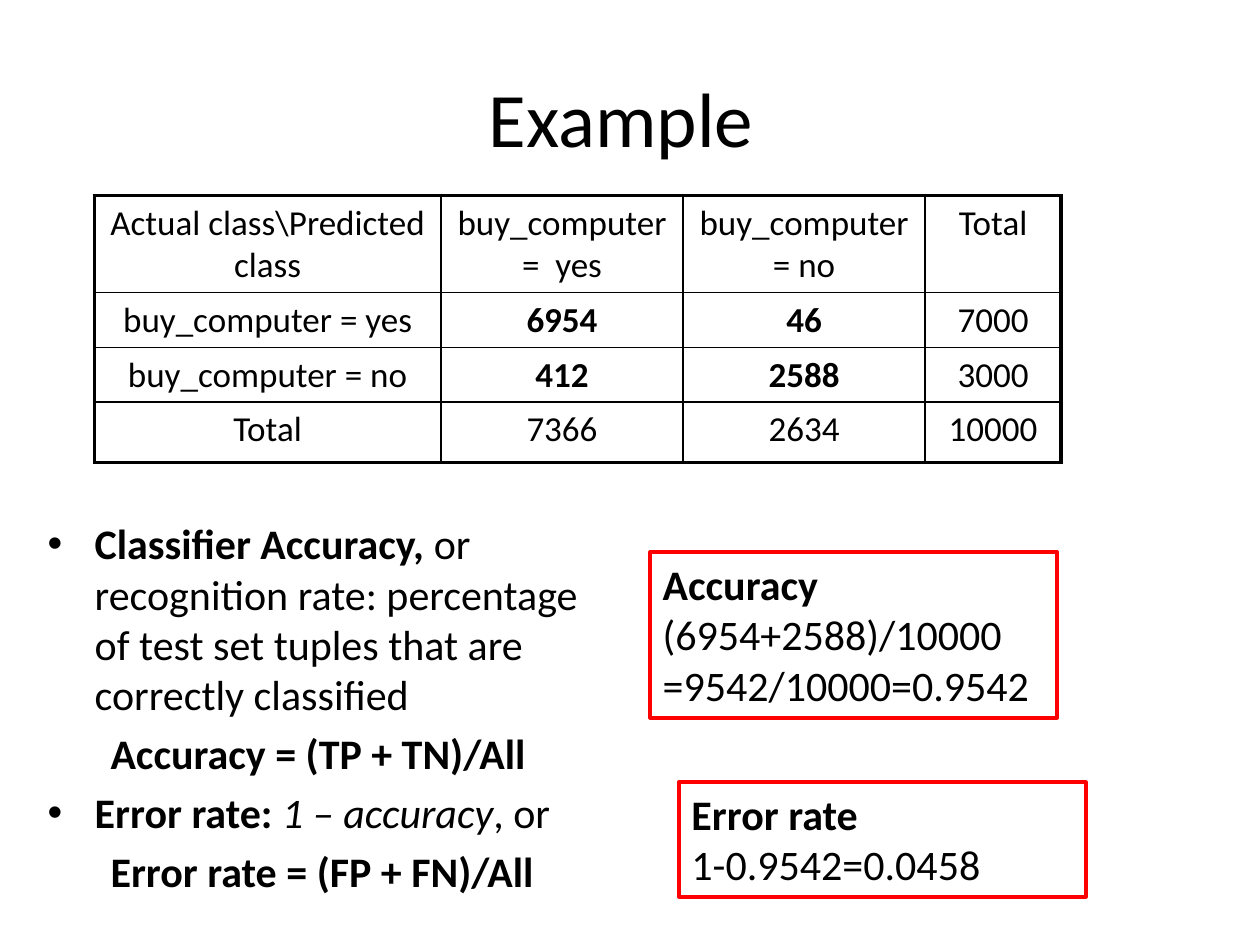
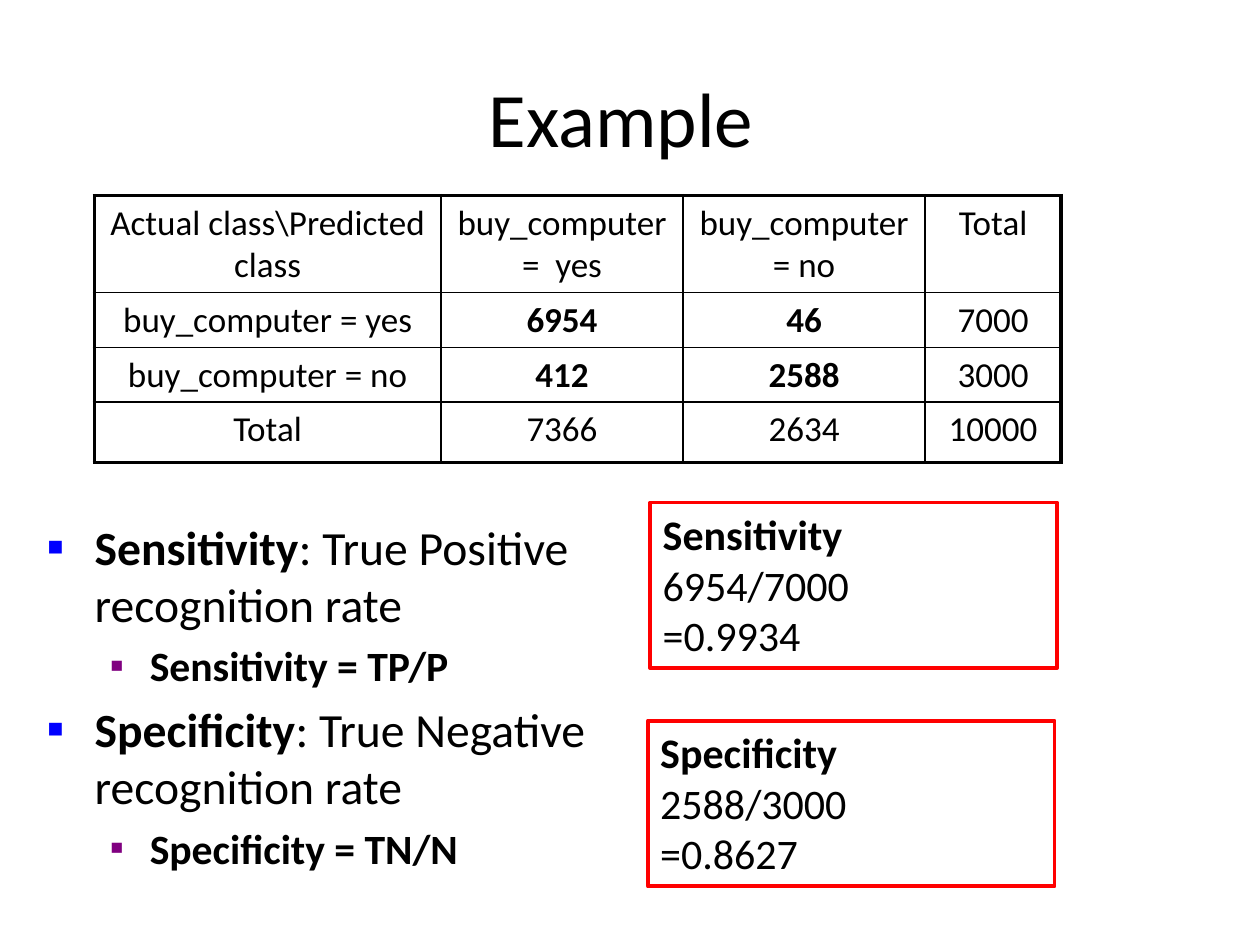
from dataclasses import dataclass

from lxml import etree
from pptx import Presentation
from pptx.dml.color import RGBColor
from pptx.enum.shapes import MSO_SHAPE
from pptx.enum.text import MSO_ANCHOR, MSO_AUTO_SIZE, PP_ALIGN
from pptx.oxml.ns import qn
from pptx.util import Cm, Pt

RECTANGLE = MSO_SHAPE.RECTANGLE
TOP, MIDDLE = MSO_ANCHOR.TOP, MSO_ANCHOR.MIDDLE
LEFT, CENTER = PP_ALIGN.LEFT, PP_ALIGN.CENTER
FIT_SHAPE = MSO_AUTO_SIZE.SHAPE_TO_FIT_TEXT

BLACK = RGBColor(0x00, 0x00, 0x00)
RED = RGBColor(0xFF, 0x00, 0x00)
BLUE = RGBColor(0x00, 0x00, 0xFF)
PURPLE = RGBColor(0x80, 0x00, 0x80)

FONT = "Calibri"
OUTER_LINE, INNER_LINE = Pt(2.25), Pt(1)

# Confusion matrix shared by both slides
CONFUSION_MATRIX = [
    ["Actual class\\Predicted class", "buy_computer =  yes", "buy_computer = no", "Total"],
    ["buy_computer = yes", "6954", "46", "7000"],
    ["buy_computer = no", "412", "2588", "3000"],
    ["Total", "7366", "2634", "10000"],
]
COLUMN_WIDTHS = [6.99, 4.88, 4.88, 2.74]
ROW_HEIGHTS = [1.96, 1.09, 1.09, 1.22]


@dataclass
class Level:
    """Text size, indents (cm) and bullet of one outline level."""
    size: float
    margin: float
    hanging: float
    bullet: str = ""
    bullet_color: RGBColor = BLACK
    bullet_percent: int = 100


DOT = Level(24, 0.95, 0.95, "•")
FORMULA = Level(24, 2.06, 0.79)
BLUE_SQUARE = Level(27.2, 0.95, 0.95, "■", BLUE, 55)
PURPLE_SQUARE = Level(23.8, 2.06, 0.79, "■", PURPLE, 50)


def write(paragraph, *runs, size=24, align=LEFT, color=BLACK):
    """Fill a paragraph with (text, style) runs; style holds 'b' and/or 'i'."""
    paragraph.alignment = align
    for text, style in runs:
        run = paragraph.add_run()
        run.text = text
        run.font.name, run.font.size = FONT, Pt(size)
        run.font.bold, run.font.italic = "b" in style, "i" in style
        run.font.color.rgb = color


def add_xml(parent, tag, **attributes):
    element = etree.SubElement(parent, qn(tag))
    for name, value in attributes.items():
        element.set(name, str(value))
    return element


def set_level(paragraph, level):
    properties = paragraph._p.get_or_add_pPr()
    properties.set("marL", str(Cm(level.margin)))
    properties.set("indent", str(-Cm(level.hanging)))
    if not level.bullet:
        add_xml(properties, "a:buNone")
        return
    add_xml(add_xml(properties, "a:buClr"), "a:srgbClr", val=level.bullet_color)
    add_xml(properties, "a:buSzPct", val=level.bullet_percent * 1000)
    add_xml(properties, "a:buFont", typeface="Arial")
    add_xml(properties, "a:buChar", char=level.bullet)


def set_borders(cell, widths):
    """Draw the left, right, top and bottom border of a cell."""
    properties = cell._tc.get_or_add_tcPr()
    for index, (side, width) in enumerate(zip("LRTB", widths)):
        line = etree.Element(qn(f"a:ln{side}"), w=str(width))
        add_xml(add_xml(line, "a:solidFill"), "a:srgbClr", val=BLACK)
        properties.insert(index, line)


class Deck:
    def __init__(self):
        self.presentation = Presentation()
        self.presentation.slide_width = Cm(25.4)
        self.presentation.slide_height = Cm(19.05)
        self.slide = None

    def add_slide(self):
        blank = self.presentation.slide_layouts[6]
        self.slide = self.presentation.slides.add_slide(blank)

    def text_frame(self, left, top, width, height, anchor=TOP):
        box = self.slide.shapes.add_textbox(Cm(left), Cm(top), Cm(width), Cm(height))
        box.text_frame.word_wrap = True
        box.text_frame.vertical_anchor = anchor
        return box.text_frame

    def title(self, text):
        frame = self.text_frame(1.27, 0.76, 22.86, 3.18, MIDDLE)
        write(frame.paragraphs[0], (text, ""), size=44, align=CENTER)

    def outline(self, items):
        frame = self.text_frame(0.71, 10.31, 11.43, 8.28)
        for index, (level, *runs) in enumerate(items):
            paragraph = frame.add_paragraph() if index else frame.paragraphs[0]
            write(paragraph, *runs, size=level.size)
            if index:
                paragraph.space_before = Pt(0.2 * level.size)
            set_level(paragraph, level)

    def matrix(self, rows):
        last_row, last_column = len(rows) - 1, len(rows[0]) - 1
        table = self.slide.shapes.add_table(
            len(rows), len(rows[0]), Cm(1.9), Cm(3.94),
            Cm(sum(COLUMN_WIDTHS)), Cm(sum(ROW_HEIGHTS))).table
        table.first_row = table.horz_banding = False
        for column, width in zip(table.columns, COLUMN_WIDTHS):
            column.width = Cm(width)
        for row, height in zip(table.rows, ROW_HEIGHTS):
            row.height = Cm(height)
        for r, values in enumerate(rows):
            for c, value in enumerate(values):
                cell = table.cell(r, c)
                cell.fill.background()
                is_count = 0 < r < last_row and 0 < c < last_column
                write(cell.text_frame.paragraphs[0], (value, "b" if is_count else ""),
                      size=20, align=CENTER)
                on_edge = (c == 0, c == last_column, r == 0, r == last_row)
                set_borders(cell, [OUTER_LINE if edge else INNER_LINE for edge in on_edge])

    def result_box(self, left, top, heading, *lines):
        height = 0.25 + 1.03 * (1 + len(lines))
        box = self.slide.shapes.add_shape(
            RECTANGLE, Cm(left), Cm(top), Cm(8.2), Cm(height))
        box.shadow.inherit = False
        box.fill.background()
        box.line.color.rgb, box.line.width = RED, OUTER_LINE
        frame = box.text_frame
        frame.word_wrap, frame.auto_size = True, FIT_SHAPE
        frame.vertical_anchor = TOP
        write(frame.paragraphs[0], (heading, "b"))
        for line in lines:
            write(frame.add_paragraph(), (line, ""))

    def example(self, outline, results):
        self.add_slide()
        self.title("Example ")
        self.outline(outline)
        self.matrix(CONFUSION_MATRIX)
        for result in results:
            self.result_box(*result)


def main():
    deck = Deck()

    # Accuracy and error rate
    deck.example(
        [
            (DOT, ("Classifier Accuracy, ", "b"),
             ("or recognition rate: percentage of test set tuples "
              "that are correctly classified", "")),
            (FORMULA, ("Accuracy = (TP + TN)/All", "b")),
            (DOT, ("Error rate: ", "b"), ("1 – accuracy", "i"), (", or", "")),
            (FORMULA, ("Error rate = (FP + FN)/All", "b")),
        ],
        [
            (13.11, 11.13, "Accuracy", "(6954+2588)/10000", "=9542/10000=0.9542"),
            (13.69, 15.77, "Error rate", "1-0.9542=0.0458"),
        ])

    # Sensitivity and specificity
    deck.example(
        [
            (BLUE_SQUARE, ("Sensitivity", "b"), (": True Positive recognition rate", "")),
            (PURPLE_SQUARE, ("Sensitivity = TP/P", "b")),
            (BLUE_SQUARE, ("Specificity", "b"), (": True Negative recognition rate", "")),
            (PURPLE_SQUARE, ("Specificity = TN/N", "b")),
        ],
        [
            (13.11, 10.13, "Sensitivity", "6954/7000", "=0.9934"),
            (13.06, 14.53, "Specificity", "2588/3000", "=0.8627"),
        ])

    deck.presentation.save("out.pptx")


if __name__ == "__main__":
    main()
